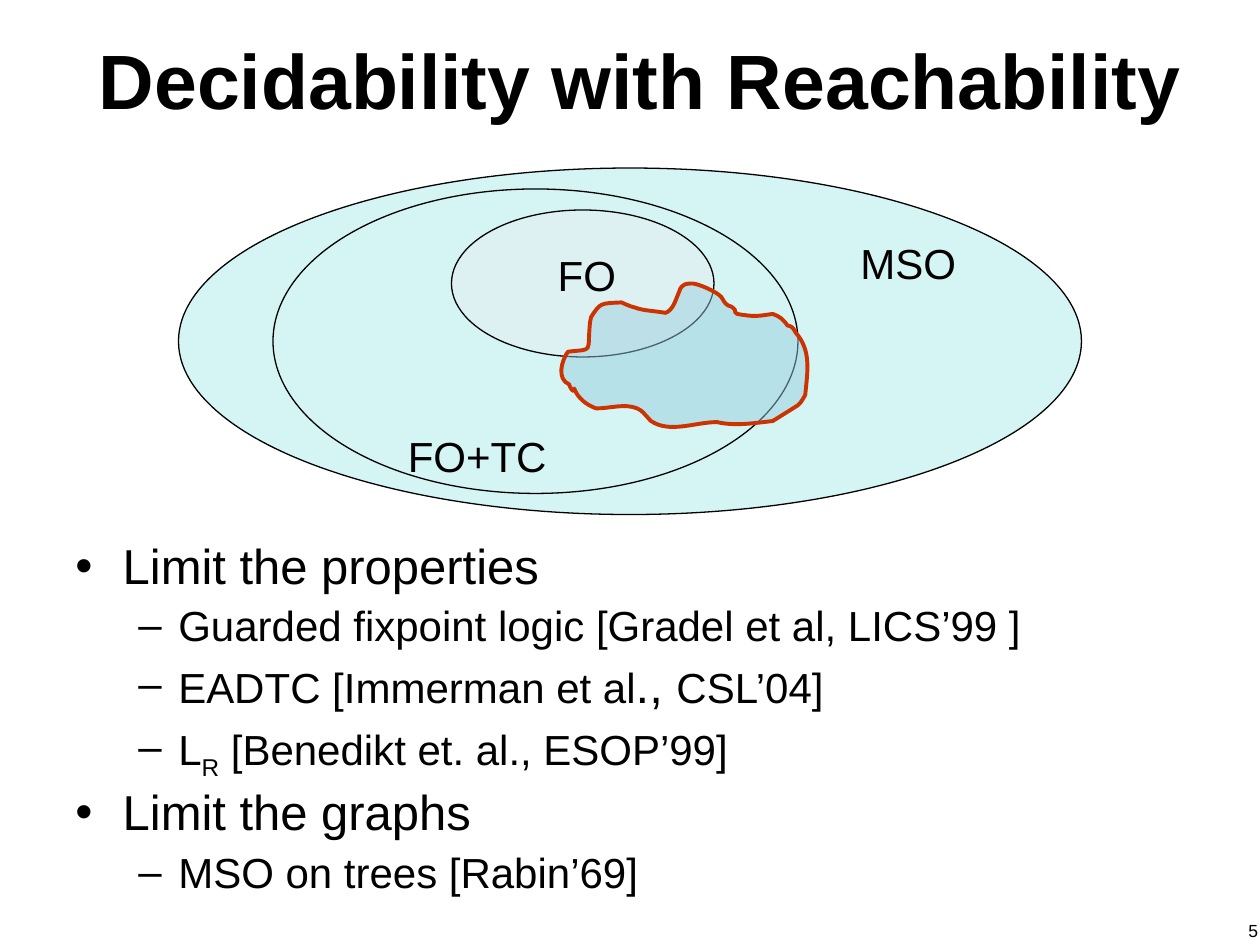
"""Build the slide on decidable logics with reachability."""
from dataclasses import dataclass

from lxml import etree
from pptx import Presentation
from pptx.dml.color import RGBColor
from pptx.enum.shapes import MSO_SHAPE
from pptx.enum.text import MSO_ANCHOR, MSO_AUTO_SIZE, PP_ALIGN
from pptx.oxml.ns import qn
from pptx.util import Pt

PX = 7620
FONT = "Arial"
ELLIPSE = MSO_SHAPE.OVAL
CENTER, RIGHT = PP_ALIGN.CENTER, PP_ALIGN.RIGHT
MIDDLE = MSO_ANCHOR.MIDDLE
NO_FIT, GROW = MSO_AUTO_SIZE.NONE, MSO_AUTO_SIZE.SHAPE_TO_FIT_TEXT
COLORS = {"black": "000000", "logic": "D4F5F4", "first_order": "DEF1F2",
          "region": "99CDDF", "outline": "CC3300"}


@dataclass(frozen=True)
class Box:
    left: int
    top: int
    width: int
    height: int

    def emu(self) -> list[int]:
        return [value * PX for value in (self.left, self.top, self.width, self.height)]


@dataclass(frozen=True)
class Logic:
    name: str
    ellipse: Box
    label: Box
    fill: str


@dataclass(frozen=True)
class Level:
    bullet: str
    margin: int
    hanging: int
    size: int
    space_before: int


@dataclass(frozen=True)
class Part:
    text: str
    size: int | None = None
    subscript: bool = False


LOGICS = [
    Logic("MSO", Box(170, 160, 860, 330), Box(730, 220, 270, 60), "logic"),
    Logic("FO+TC", Box(260, 180, 500, 290), Box(362, 404, 185, 60), "logic"),
    Logic("FO", Box(430, 200, 250, 140), Box(492, 232, 134, 60), "first_order"),
]
LEVELS = [Level("•", 45, 45, 28, 7), Level("–", 98, 38, 24, 6)]
ITEMS = [
    (0, [Part("Limit the properties")]),
    (1, [Part("Guarded fixpoint logic [Gradel et al, LICS’99 ]")]),
    (1, [Part("EADTC [Immerman et al"), Part("., ", size=28), Part("CSL’04]")]),
    (1, [Part("L"), Part("R", subscript=True), Part(" [Benedikt et. al., ESOP’99]")]),
    (0, [Part("Limit the graphs")]),
    (1, [Part("MSO on trees [Rabin’69]")]),
]
REGION_START = (547, 370)
REGION_CURVES = [
    ((550, 379), (559, 386), (568, 389)), ((581, 389), (595, 384), (607, 389)),
    ((611, 390), (617, 398), (620, 401)), ((638, 413), (662, 402), (683, 402)),
    ((700, 406), (718, 403), (736, 401)), ((744, 396), (752, 391), (760, 386)),
    ((763, 384), (767, 376), (767, 376)), ((769, 354), (773, 334), (758, 317)),
    ((755, 312), (755, 311), (750, 310)), ((746, 304), (742, 301), (736, 299)),
    ((722, 301), (719, 302), (702, 299)), ((700, 299), (700, 296), (700, 295)),
    ((694, 289), (697, 294), (691, 289)), ((689, 287), (688, 283), (685, 281)),
    ((680, 277), (667, 271), (660, 270)), ((658, 270), (654, 270), (652, 271)),
    ((647, 274), (648, 276), (646, 280)), ((643, 287), (641, 295), (634, 298)),
    ((623, 296), (613, 296), (605, 293)), ((600, 292), (592, 288), (592, 288)),
    ((572, 289), (572, 288), (563, 302)), ((563, 304), (562, 305), (562, 307)),
    ((559, 337), (566, 332), (541, 335)), ((535, 343), (530, 361), (542, 366)),
    ((542, 367), (547, 377), (547, 370)),
]


def color(name: str) -> RGBColor:
    return RGBColor.from_string(COLORS[name])


def set_font(font, size: int, bold: bool = False) -> None:
    font.name, font.size, font.bold = FONT, Pt(size), bold
    font.color.rgb = color("black")


def style_shape(shape, fill: str, line: str, width: float) -> None:
    shape.shadow.inherit = False
    shape.fill.solid()
    shape.fill.fore_color.rgb = color(fill)
    shape.line.color.rgb = color(line)
    shape.line.width = Pt(width)


def add_text(shapes, box: Box, text: str, size: int, alignment, space_before: int = 0,
             fit=NO_FIT) -> None:
    frame = shapes.add_textbox(*box.emu()).text_frame
    frame.word_wrap = True
    frame.auto_size = fit
    paragraph = frame.paragraphs[0]
    paragraph.text = text
    paragraph.alignment = alignment
    paragraph.space_before = Pt(space_before)
    set_font(paragraph.font, size)


def add_logic(slide, logic: Logic) -> None:
    shapes = slide.shapes.add_group_shape().shapes
    ellipse = shapes.add_shape(ELLIPSE, *logic.ellipse.emu())
    style_shape(ellipse, logic.fill, "black", 0.75)
    add_text(shapes, logic.label, logic.name, 24, CENTER, 15, GROW)


def bend_segments(shape) -> None:
    """Turn each three line segments into one cubic curve."""
    lines = list(shape._element.iter(qn("a:lnTo")))
    for first in range(0, len(lines), 3):
        curve = etree.Element(qn("a:cubicBezTo"))
        lines[first].addprevious(curve)
        for line in lines[first:first + 3]:
            curve.append(line[0])
            line.getparent().remove(line)


def add_region(slide) -> None:
    builder = slide.shapes.build_freeform(*REGION_START, scale=PX)
    builder.add_line_segments([point for curve in REGION_CURVES for point in curve])
    region = builder.convert_to_shape()
    bend_segments(region)
    outline = next(region._element.iter(qn("a:path")))
    etree.SubElement(outline, qn("a:close"))
    style_shape(region, "region", "outline", 2.25)
    fill_color = region._element.spPr.find(qn("a:solidFill"))[0]
    etree.SubElement(fill_color, qn("a:alpha"), val="48000")


def add_item(paragraph, level_index: int, parts: list[Part]) -> None:
    level = LEVELS[level_index]
    paragraph.level = level_index
    paragraph.line_spacing = 0.9
    paragraph.space_before = Pt(level.space_before)
    properties = paragraph._p.get_or_add_pPr()
    properties.set("marL", str(level.margin * PX))
    properties.set("indent", str(-level.hanging * PX))
    etree.SubElement(properties, qn("a:buFont"), typeface=FONT)
    etree.SubElement(properties, qn("a:buChar"), char=level.bullet)
    set_font(paragraph.font, level.size)
    for part in parts:
        run = paragraph.add_run()
        run.text = part.text
        if part.size:
            run.font.size = Pt(part.size)
        if part.subscript:
            run._r.get_or_add_rPr().set("baseline", "-25000")


def add_list(slide, box: Box) -> None:
    frame = slide.shapes.add_textbox(*box.emu()).text_frame
    frame.word_wrap = True
    for index, (level_index, parts) in enumerate(ITEMS):
        paragraph = frame.add_paragraph() if index else frame.paragraphs[0]
        add_item(paragraph, level_index, parts)


def set_title(slide, box: Box, text: str) -> None:
    title = slide.shapes.title
    title.left, title.top, title.width, title.height = box.emu()
    frame = title.text_frame
    frame.text = text
    frame.auto_size = NO_FIT
    frame.vertical_anchor = MIDDLE
    paragraph = frame.paragraphs[0]
    paragraph.alignment = CENTER
    set_font(paragraph.font, 44, bold=True)


def main() -> None:
    presentation = Presentation()
    presentation.slide_width, presentation.slide_height = 1200 * PX, 900 * PX
    slide = presentation.slides.add_slide(presentation.slide_layouts[5])
    set_title(slide, Box(40, 0, 1140, 150), "Decidability with Reachability")
    for logic in LOGICS:
        add_logic(slide, logic)
    add_region(slide)
    add_list(slide, Box(60, 510, 1100, 360))
    add_text(slide.shapes, Box(930, 870, 280, 62), "5", 10, RIGHT)
    presentation.save("out.pptx")


if __name__ == "__main__":
    main()
